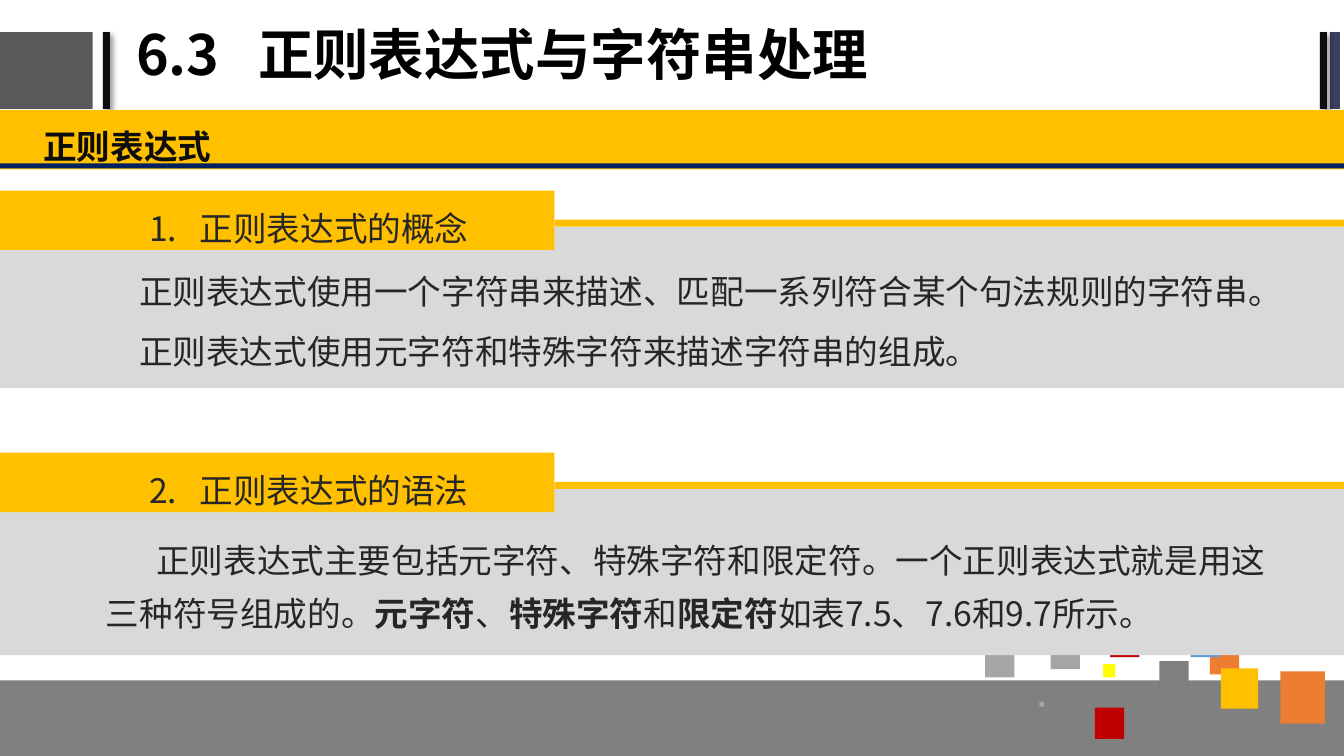
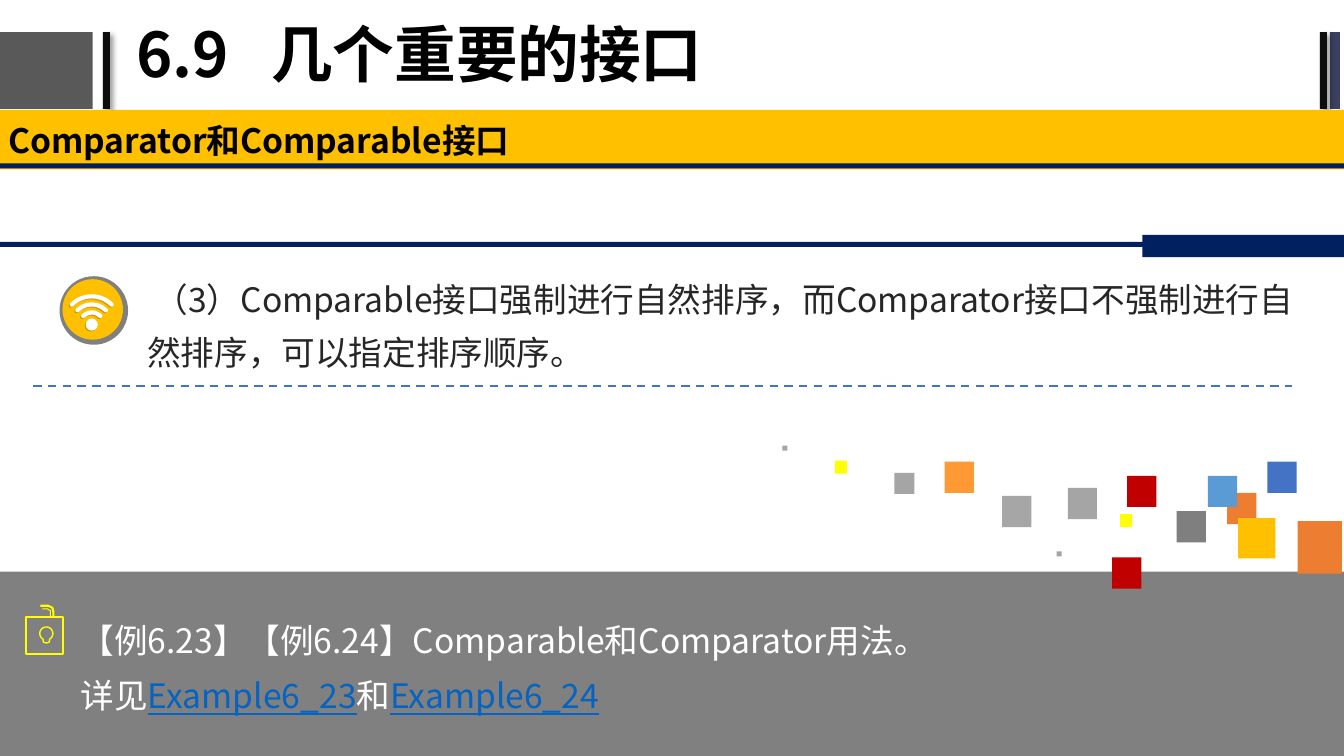
"""Build two lecture slides on regular expressions and ordering interfaces."""
import math

import pptx
import pptx.dml.color
import pptx.enum.dml
import pptx.enum.shapes
import pptx.enum.text
import pptx.oxml.ns
import pptx.util
from lxml import etree

SCALE = 9144
WIDTH, HEIGHT = 1333, 750
FONT = "Noto Sans CJK SC"
AMBER, NAVY, GREY, PANEL = "FFC000", "002060", "808080", "D9D9D9"
BLACK, INK, DARK, WHITE, YELLOW = "000000", "0D0D0D", "262626", "FFFFFF", "FFFF00"
ORANGE, SILVER, RED, LINK, BLUE = "ED7D31", "A5A5A5", "C00000", "0563C1", "4472C4"
RECTANGLE = pptx.enum.shapes.MSO_SHAPE.RECTANGLE
OVAL = pptx.enum.shapes.MSO_SHAPE.OVAL
ARC = pptx.enum.shapes.MSO_SHAPE.ARC

CONFETTI = [
    (293, 45, 44, 52, ORANGE), (223, 17, 29, 31, ORANGE), (234, 42, 37, 40, AMBER),
    (204, 0, 29, 31, "5B9BD5"), (54, 75, 5, 5, SILVER), (117, 38, 12, 13, YELLOW),
    (65, 12, 29, 31, SILVER), (124, 0, 29, 31, RED), (173, 35, 29, 31, "7F7F7F"),
    (109, 81, 29, 31, RED), (0, 20, 29, 31, "A6A6A6"),
]
MORE_CONFETTI = [
    (263, -14, 29, 31, BLUE), (-218, -30, 5, 5, SILVER), (-166, -15, 12, 13, YELLOW),
    (-107, -3, 20, 21, SILVER), (-57, -14, 29, 31, "FF9933"),
]


def px(length):
    return pptx.util.Emu(round(length * SCALE))


def rgb(value):
    return pptx.dml.color.RGBColor.from_string(value)


def add_xml(parent, tag, **attributes):
    return etree.SubElement(parent, pptx.oxml.ns.qn(tag), **attributes)


class Deck:
    def __init__(self):
        self.presentation = pptx.Presentation()
        self.presentation.slide_width = px(WIDTH)
        self.presentation.slide_height = px(HEIGHT)
        self.slide = None

    def paint(self, shape, fill=None, line=None, weight=1.5, alpha=None):
        shape.shadow.inherit = False
        if fill:
            shape.fill.solid()
            shape.fill.fore_color.rgb = rgb(fill)
        else:
            shape.fill.background()
        if line:
            shape.line.color.rgb = rgb(line)
            shape.line.width = pptx.util.Pt(weight)
        else:
            shape.line.fill.background()
        if alpha:
            for color in shape._element.spPr.iter(pptx.oxml.ns.qn("a:srgbClr")):
                add_xml(color, "a:alpha", val=str(alpha * 1000))
        return shape

    def shape(self, left, top, width, height, fill=None, kind=RECTANGLE, **style):
        shape = self.slide.shapes.add_shape(kind, px(left), px(top), px(width), px(height))
        return self.paint(shape, fill, **style)

    def shadowed_bar(self, left, top, width, height):
        bar = self.shape(left, top, width, height, INK)
        effects = bar._element.spPr.find(pptx.oxml.ns.qn("a:effectLst"))
        shadow = add_xml(effects, "a:outerShdw", blurRad="50800", dist="38100", dir="2700000")
        color = add_xml(shadow, "a:srgbClr", val=BLACK)
        add_xml(color, "a:alpha", val="40000")

    def outline(self, points, color, weight, close=False):
        corners = [(px(x), px(y)) for x, y in points]
        builder = self.slide.shapes.build_freeform(*corners[0], scale=1.0)
        builder.add_line_segments(corners[1:], close=close)
        self.paint(builder.convert_to_shape(), line=color, weight=weight)

    def dashes(self, left, right, top, color):
        connector = self.slide.shapes.add_connector(
            pptx.enum.shapes.MSO_CONNECTOR.STRAIGHT, px(left), px(top), px(right), px(top))
        connector.line.color.rgb = rgb(color)
        connector.line.width = pptx.util.Pt(1.5)
        connector.line.dash_style = pptx.enum.dml.MSO_LINE.DASH
        add_xml(connector._element.spPr, "a:effectLst")

    def text(self, left, top, width, height, paragraphs, size=24, color=DARK, bold=False,
             spacing=1.0, before=5, middle=False, indent=0, tab=0):
        frame = self.slide.shapes.add_textbox(px(left), px(top), px(width), px(height)).text_frame
        frame.word_wrap = True
        frame.margin_left = frame.margin_right = px(13)
        frame.margin_top = frame.margin_bottom = px(7)
        anchors = pptx.enum.text.MSO_ANCHOR
        frame.vertical_anchor = anchors.MIDDLE if middle else anchors.TOP
        for index, runs in enumerate(paragraphs):
            paragraph = frame.add_paragraph() if index else frame.paragraphs[0]
            paragraph.line_spacing = spacing
            paragraph.space_before = pptx.util.Pt(before)
            properties = paragraph._p.get_or_add_pPr()
            if indent:
                properties.set("indent", str(px(indent)))
            if tab:
                stops = add_xml(properties, "a:tabLst")
                add_xml(stops, "a:tab", pos=str(px(tab)), algn="l")
            font = paragraph.font
            font.size = pptx.util.Pt(size)
            font.bold = bold
            font.color.rgb = rgb(color)
            font.name = FONT
            add_xml(properties.defRPr, "a:ea", typeface=FONT)
            for words, style in [(runs, "")] if isinstance(runs, str) else runs:
                run = paragraph.add_run()
                run.text = words
                if style == "bold":
                    run.font.bold = True
                elif style == "link":
                    run.font.underline = True
                    run.font.color.rgb = rgb(LINK)

    def new_slide(self, title, size, tab):
        self.slide = self.presentation.slides.add_slide(self.presentation.slide_layouts[6])
        self.shape(0, 32, 92, 76, "595959")
        self.shadowed_bar(102, 32, 7, 76)
        self.shape(1319, 32, 10, 76, "3B3F60")
        self.shadowed_bar(1309, 32, 7, 76)
        self.text(122, 2, 853, 110, [title], size, BLACK, True, 0.9, 0, middle=True, tab=tab)

    def band(self, left, top, label, **style):
        self.shape(0, 109, WIDTH, 59, AMBER)
        self.text(left, top, WIDTH - left, 59, [label], bold=True, **style)
        self.shape(0, 162, WIDTH, 5, NAVY)

    def footer(self, top):
        self.shape(0, top, WIDTH, HEIGHT - top, GREY)

    def confetti(self, left, top, pieces):
        for x, y, width, height, color in pieces:
            self.shape(left + x, top + y, width, height, color)

    def section(self, top, heading):
        self.shape(550, top + 29, WIDTH - 550, 7, AMBER)
        self.shape(0, top, 550, 59, AMBER)
        self.text(135, top - 10, 492, 67, [heading], spacing=1.5, tab=50)

    def wireless_icon(self):
        self.shape(59, 274, 68, 68, GREY, OVAL)
        self.shape(62, 277, 60, 60, AMBER, OVAL)
        for x, y, color, alpha in [(90, 323, BLACK, 20), (91, 322, WHITE, None)]:
            for radius in (12, 20, 28):
                arc = self.shape(x - radius, y - radius, 2 * radius, 2 * radius,
                                 kind=ARC, line=color, weight=3, alpha=alpha)
                arc.adjustments[0] = 225 * 0.6
                arc.adjustments[1] = 315 * 0.6
                arc.line._get_or_add_ln().set("cap", "rnd")
            self.shape(x - 6, y - 6, 12, 12, color, OVAL, alpha=alpha)

    def lock_icon(self):
        self.shape(26, 612, 37, 37, line=YELLOW)
        self.outline([(40, 601), (48, 601), (52, 603), (53, 607), (53, 611)], YELLOW, 1.5)
        self.outline([(42, 604), (47, 604), (50, 606), (50, 611)], YELLOW, 0.75)
        angles = [math.radians(degree) for degree in range(120, 421, 15)]
        bulb = [(46 + 6.5 * math.cos(angle), 628.5 + 6.5 * math.sin(angle)) for angle in angles]
        self.outline(bulb + [(49, 637), (46, 638), (43, 637)], YELLOW, 1, close=True)


def regular_expressions(deck):
    deck.new_slide("6.3\t正则表达式与字符串处理", 39.6, 121)
    deck.footer(675)
    deck.confetti(977, 621, CONFETTI)
    deck.band(30, 110, "正则表达式", color=INK, spacing=1.2)
    deck.shape(0, 225, WIDTH, 160, PANEL)
    deck.shape(0, 483, WIDTH, 167, PANEL)
    deck.section(189, "1.\t正则表达式的概念")
    deck.text(75, 250, 1183, 137, [
        "正则表达式使用一个字符串来描述、匹配一系列符合某个句法规则的字符串。",
        "正则表达式使用元字符和特殊字符来描述字符串的组成。",
    ], spacing=1.3, indent=50)
    deck.section(449, "2.\t正则表达式的语法")
    deck.text(92, 517, 1183, 120, [[
        ("正则表达式主要包括元字符、特殊字符和限定符。一个正则表达式就是用这三种符号组成的。", ""),
        ("元字符", "bold"), ("、", ""), ("特殊字符", "bold"), ("和", ""),
        ("限定符", "bold"), ("如表7.5、7.6和9.7所示。", ""),
    ]], spacing=1.3, indent=50)


def ordering_interfaces(deck):
    deck.new_slide("6.9\t几个重要的接口", 44, 134)
    deck.band(-5, 109, "Comparator和Comparable接口", color=BLACK, before=0, middle=True)
    deck.shape(0, 240, WIDTH, 5, NAVY)
    deck.shape(1133, 233, 200, 22, NAVY)
    deck.text(133, 258, 1169, 120, [
        " （3）Comparable接口强制进行自然排序，而Comparator接口不强制进行自然排序，可以指定排序顺序。",
    ], spacing=1.3)
    deck.wireless_icon()
    deck.footer(567)
    deck.lock_icon()
    deck.text(67, 600, 1250, 133, [
        "【例6.23】【例6.24】Comparable和Comparator用法。",
        [("详见", ""), ("Example6_23", "link"), ("和", ""), ("Example6_24", "link")],
    ], color=WHITE, spacing=1.2)
    deck.confetti(994, 472, CONFETTI + MORE_CONFETTI)
    deck.dashes(33, 1281, 383, BLUE)


def main():
    deck = Deck()
    regular_expressions(deck)
    ordering_interfaces(deck)
    deck.presentation.save("out.pptx")


if __name__ == "__main__":
    main()
